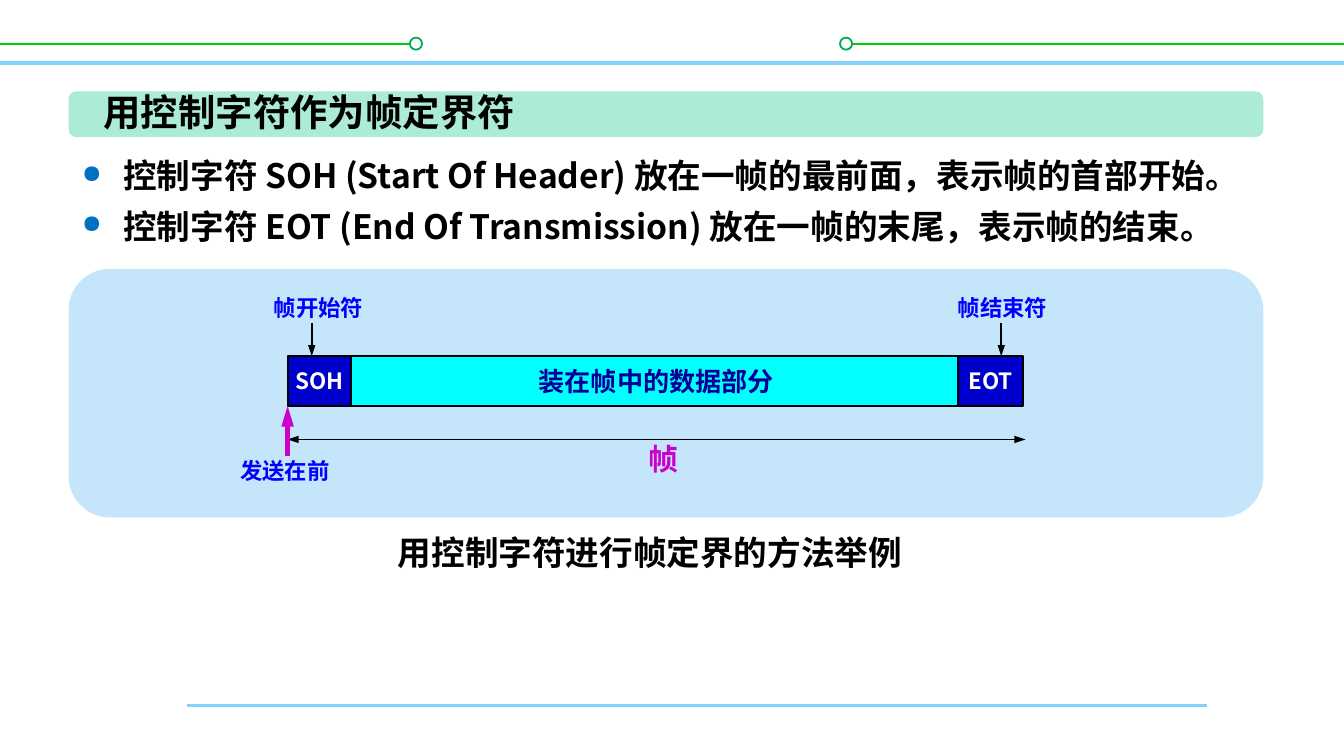
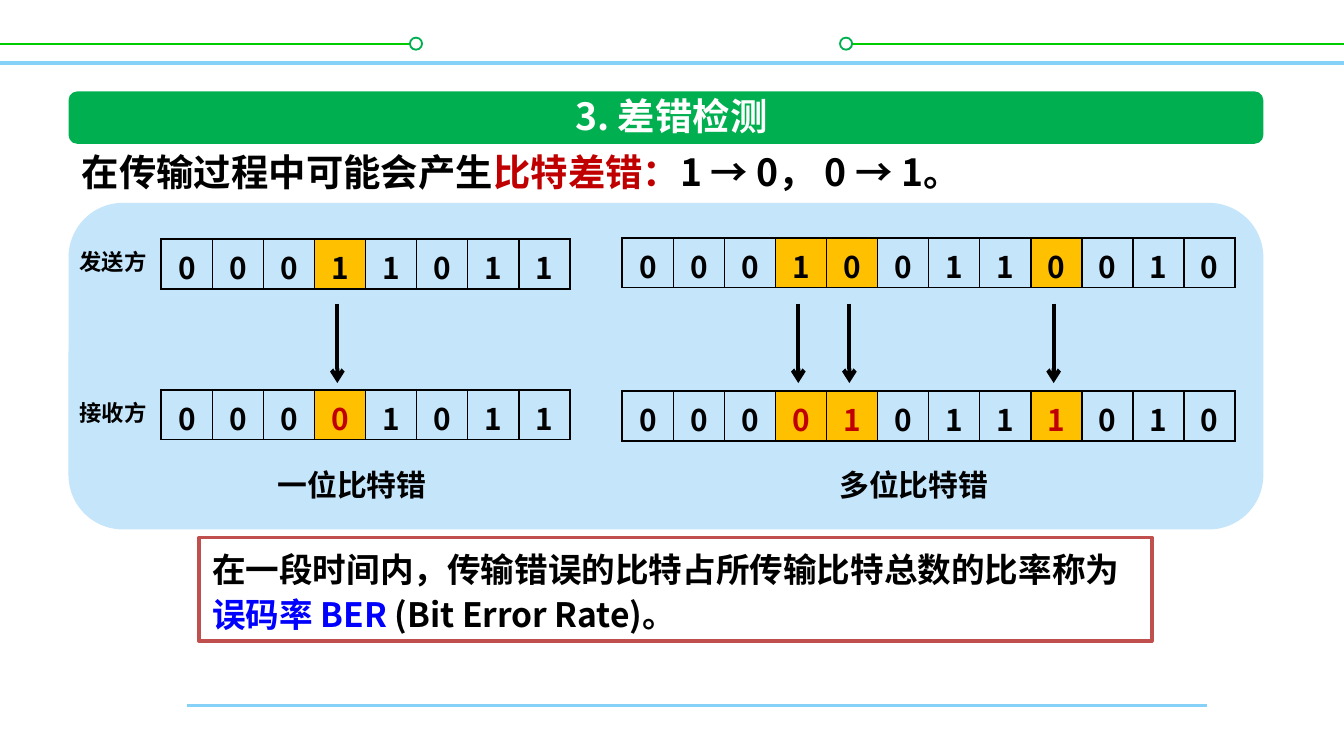
import pptx
import pptx.util
import pptx.dml.color
import pptx.enum.shapes
import pptx.enum.text
import pptx.oxml
import pptx.oxml.ns

Inches = pptx.util.Inches
Pt = pptx.util.Pt
RGBColor = pptx.dml.color.RGBColor
KIND = pptx.enum.shapes.MSO_SHAPE
ALIGN = pptx.enum.text.PP_ALIGN
ANCHOR = pptx.enum.text.MSO_ANCHOR

FONT = "Noto Sans CJK SC"
BLACK = RGBColor(0x00, 0x00, 0x00)
WHITE = RGBColor(0xFF, 0xFF, 0xFF)
SKY = RGBColor(0x85, 0xD1, 0xF7)
PALE = RGBColor(0xC5, 0xE5, 0xFB)
LIME = RGBColor(0x00, 0xCC, 0x00)
GREEN = RGBColor(0x00, 0xB0, 0x50)
MINT = RGBColor(0xAB, 0xEB, 0xD7)
BLUE = RGBColor(0x00, 0x00, 0xFF)
NAVY = RGBColor(0x00, 0x00, 0x99)
ROYAL = RGBColor(0x00, 0x00, 0xCC)
CYAN = RGBColor(0x00, 0xFF, 0xFF)
PINK = RGBColor(0xCC, 0x00, 0xCC)
RED = RGBColor(0xC0, 0x00, 0x00)
BRICK = RGBColor(0xC0, 0x50, 0x4D)
GOLD = RGBColor(0xFF, 0xC0, 0x00)
DOT = RGBColor(0x00, 0x70, 0xC0)

THIN = {"type": "triangle", "w": "sm"}
LONG = {"type": "triangle", "len": "lg"}
OPEN = {"type": "arrow"}

BAR_LEFT, BAR_TOP, BAR_WIDTH = 0.51, 0.68, 8.89
CELL_WIDTH, CELL_HEIGHT = 0.38, 0.37


def node(tag, **attrs):
    """Make a DrawingML element with the given attributes."""
    item = pptx.oxml.parse_xml(f"<a:{tag} {pptx.oxml.ns.nsdecls('a')}/>")
    for key, value in attrs.items():
        item.set(key, str(value))
    return item


def tint(tag, color):
    """Make an element that holds one colour."""
    item = node(tag)
    item.append(node("srgbClr", val=color))
    return item


def style(run, size, color):
    """Format one run in the deck's bold font."""
    run.font.size = Pt(size)
    run.font.bold = True
    run.font.color.rgb = color
    run.font.name = FONT
    run.font._element.append(node("ea", typeface=FONT))


def write(frame, text, size, color=BLACK, align=ALIGN.CENTER):
    """Fill a text frame with one paragraph in one style."""
    frame.text = text
    para = frame.paragraphs[0]
    para.alignment = align
    style(para.runs[0], size, color)


def blend(frame, parts, size):
    """Fill a text frame with one paragraph of coloured parts."""
    para = frame.paragraphs[0]
    para.alignment = ALIGN.LEFT
    for text, color in parts:
        run = para.add_run()
        run.text = text
        style(run, size, color)


def label(slide, box, text, size, color=BLACK, align=ALIGN.CENTER):
    """Add a one-line text box."""
    frame = slide.shapes.add_textbox(*map(Inches, box)).text_frame
    frame.vertical_anchor = ANCHOR.MIDDLE
    frame.word_wrap = False
    write(frame, text, size, color, align)


def shape(slide, kind, box, fill, line=None, width=1):
    """Add a flat preset shape."""
    item = slide.shapes.add_shape(kind, *map(Inches, box))
    item.shadow.inherit = False
    item.fill.solid()
    item.fill.fore_color.rgb = fill
    if line is None:
        item.line.fill.background()
    else:
        item.line.color.rgb = line
        item.line.width = Pt(width)
    return item


def block(slide, box, text, size, fill, color):
    """Add an outlined field of the frame."""
    frame = shape(slide, KIND.RECTANGLE, box, fill, BLACK).text_frame
    frame.word_wrap = False
    frame.vertical_anchor = ANCHOR.MIDDLE
    write(frame, text, size, color)


def line(slide, start, end, color=BLACK, width=1, head=None, tail=None):
    """Add a straight line with optional arrowheads."""
    ends = map(Inches, (*start, *end))
    item = slide.shapes.add_connector(pptx.enum.shapes.MSO_CONNECTOR.STRAIGHT, *ends)
    item.line.color.rgb = color
    item.line.width = Pt(width)
    for tag, tip in (("headEnd", head), ("tailEnd", tail)):
        if tip:
            item.line._get_or_add_ln().append(node(tag, **tip))
    item.element.spPr.append(node("effectLst"))


def trim(slide):
    """Draw the rules and rings shared by the slides."""
    line(slide, (0, 0.47), (10, 0.47), SKY, 2)
    for left, right, ring in ((0, 3.1, 3.05), (6.25, 10, 6.25)):
        line(slide, (left, 0.33), (right, 0.33), LIME)
        shape(slide, KIND.OVAL, (ring, 0.28, 0.09, 0.09), WHITE, GREEN)
    line(slide, (1.39, 5.25), (8.98, 5.25), SKY, 1.5)


def panel(slide, top, height, fill):
    """Add a full-width rounded panel."""
    return shape(slide, KIND.ROUNDED_RECTANGLE, (BAR_LEFT, top, BAR_WIDTH, height), fill)


def start(deck, text, box, height, fill, color, align):
    """Add a slide with its trim, title bar and title."""
    slide = deck.slides.add_slide(deck.slide_layouts[5])
    trim(slide)
    bar = panel(slide, BAR_TOP, height, fill)
    title = slide.shapes.title
    title.left, title.top, title.width, title.height = map(Inches, box)
    frame = title.text_frame
    frame.auto_size = pptx.enum.text.MSO_AUTO_SIZE.NONE
    frame.word_wrap = False
    frame.vertical_anchor = ANCHOR.MIDDLE
    write(frame, text, 20, color, align)
    bar.element.addnext(title.element)
    return slide


def bullets(slide, box, items):
    """Add a bulleted list."""
    frame = slide.shapes.add_textbox(*map(Inches, box)).text_frame
    frame.word_wrap = True
    frame.text = "\n".join(items)
    for para in frame.paragraphs:
        props = para._p.get_or_add_pPr()
        props.set("marL", str(Inches(0.31)))
        props.set("indent", str(-Inches(0.31)))
        props.append(tint("buClr", DOT))
        props.append(node("buSzPct", val=75000))
        props.append(node("buChar", char="●"))
        para.line_spacing = Pt(27)
        style(para.runs[0], 18, BLACK)


def edge(cell):
    """Give a cell a thin black border."""
    props = cell._tc.get_or_add_tcPr()
    for spot, tag in enumerate(("lnL", "lnR", "lnT", "lnB")):
        side = node(tag, w=Pt(1))
        side.append(tint("solidFill", BLACK))
        props.insert(spot, side)


def strip(slide, left, top, bits, marks, color):
    """Add a one-row table of bits with the marked ones highlighted."""
    box = (left, top, CELL_WIDTH * len(bits), CELL_HEIGHT)
    table = slide.shapes.add_table(1, len(bits), *map(Inches, box)).table
    table.first_row = table.horz_banding = False
    for col, bit in enumerate(bits):
        table.columns[col].width = Inches(CELL_WIDTH)
        cell = table.cell(0, col)
        cell.margin_left = cell.margin_right = cell.margin_bottom = 0
        cell.margin_top = Inches(0.04)
        cell.vertical_anchor = ANCHOR.MIDDLE
        if col in marks:
            cell.fill.solid()
            cell.fill.fore_color.rgb = GOLD
        else:
            cell.fill.background()
        edge(cell)
        write(cell.text_frame, bit, 16, color if col in marks else BLACK)


def errors(slide, left, tops, sent, got):
    """Show sent and received bits with an arrow at each error."""
    marks = [col for col, pair in enumerate(zip(sent, got)) if pair[0] != pair[1]]
    for top, bits, color in zip(tops, (sent, got), (BLACK, RED)):
        strip(slide, left, top, bits, marks, color)
    for col in marks:
        mid = left + CELL_WIDTH * (col + 0.5) - 0.02
        line(slide, (mid, 2.26), (mid, 2.85), width=2.25, tail=OPEN)


def framing(deck):
    """Build the slide on frame delimiters."""
    slide = start(deck, "用控制字符作为帧定界符", (0.67, 0.61, 3.29, 0.44),
                  0.34, MINT, BLACK, ALIGN.LEFT)
    panel(slide, 2, 1.85, PALE)
    bullets(slide, (0.51, 1.03, 8.89, 0.82), (
        "控制字符 SOH (Start Of Header) 放在一帧的最前面，表示帧的首部开始。",
        "控制字符 EOT (End Of Transmission) 放在一帧的末尾，表示帧的结束。"))
    block(slide, (2.5, 2.65, 4.77, 0.37), "装在帧中的数据部分", 14, CYAN, NAVY)
    for left, width, text in ((2.14, 0.47, "SOH"), (7.13, 0.48, "EOT")):
        block(slide, (left, 2.65, width, 0.37), text, 12, ROYAL, WHITE)
    for left, top, text in ((1.93, 2.14, "帧开始符"), (7.02, 2.14, "帧结束符"),
                            (1.68, 3.35, "发送在前")):
        label(slide, (left, top, 0.88, 0.3), text, 12, BLUE)
    for mid in (2.32, 7.45):
        line(slide, (mid, 2.4), (mid, 2.65), tail=THIN)
    line(slide, (2.14, 3.27), (7.63, 3.27), head=THIN, tail=THIN)
    line(slide, (2.14, 3.39), (2.14, 3.02), PINK, 2.25, tail=LONG)
    label(slide, (4.72, 3.23, 0.43, 0.37), "帧", 16, PINK)
    label(slide, (2.86, 3.91, 3.95, 0.4), "用控制字符进行帧定界的方法举例", 18)


def checking(deck):
    """Build the slide on bit errors."""
    slide = start(deck, "3. 差错检测", (4.12, 0.64, 1.75, 0.44),
                  0.39, GREEN, WHITE, ALIGN.CENTER)
    panel(slide, 1.51, 2.43, PALE)
    lead = slide.shapes.add_textbox(*map(Inches, (0.51, 1.06, 8.89, 0.44))).text_frame
    lead.word_wrap = True
    lead.vertical_anchor = ANCHOR.MIDDLE
    blend(lead, (("在传输过程中可能会产生", BLACK), ("比特差错：", RED),
                 ("1 → 0， 0 → 1。", BLACK)), 20)
    errors(slide, 1.2, (1.78, 2.9), "00011011", "00001011")
    errors(slide, 4.63, (1.77, 2.91), "000100110010", "000010111010")
    for left, text in ((1.96, "一位比特错"), (6.14, "多位比特错")):
        label(slide, (left, 3.42, 1.32, 0.37), text, 16)
    for top, text in ((1.8, "发送方"), (2.92, "接收方")):
        label(slide, (0.48, top, 0.71, 0.3), text, 12, align=ALIGN.RIGHT)
    note = shape(slide, KIND.RECTANGLE, (1.48, 4, 7.09, 0.77), WHITE, BRICK, 2).text_frame
    note.word_wrap = True
    note.vertical_anchor = ANCHOR.TOP
    blend(note, (("在一段时间内，传输错误的比特占所传输比特总数的比率称为", BLACK),
                 ("误码率 BER ", BLUE), ("(Bit Error Rate)。", BLACK)), 18)
    note.paragraphs[0].line_spacing = Pt(24)


def main():
    """Build and save the deck."""
    deck = pptx.Presentation()
    deck.slide_width = Inches(10)
    deck.slide_height = deck.slide_width * 9 // 16
    framing(deck)
    checking(deck)
    deck.save("out.pptx")


if __name__ == "__main__":
    main()
